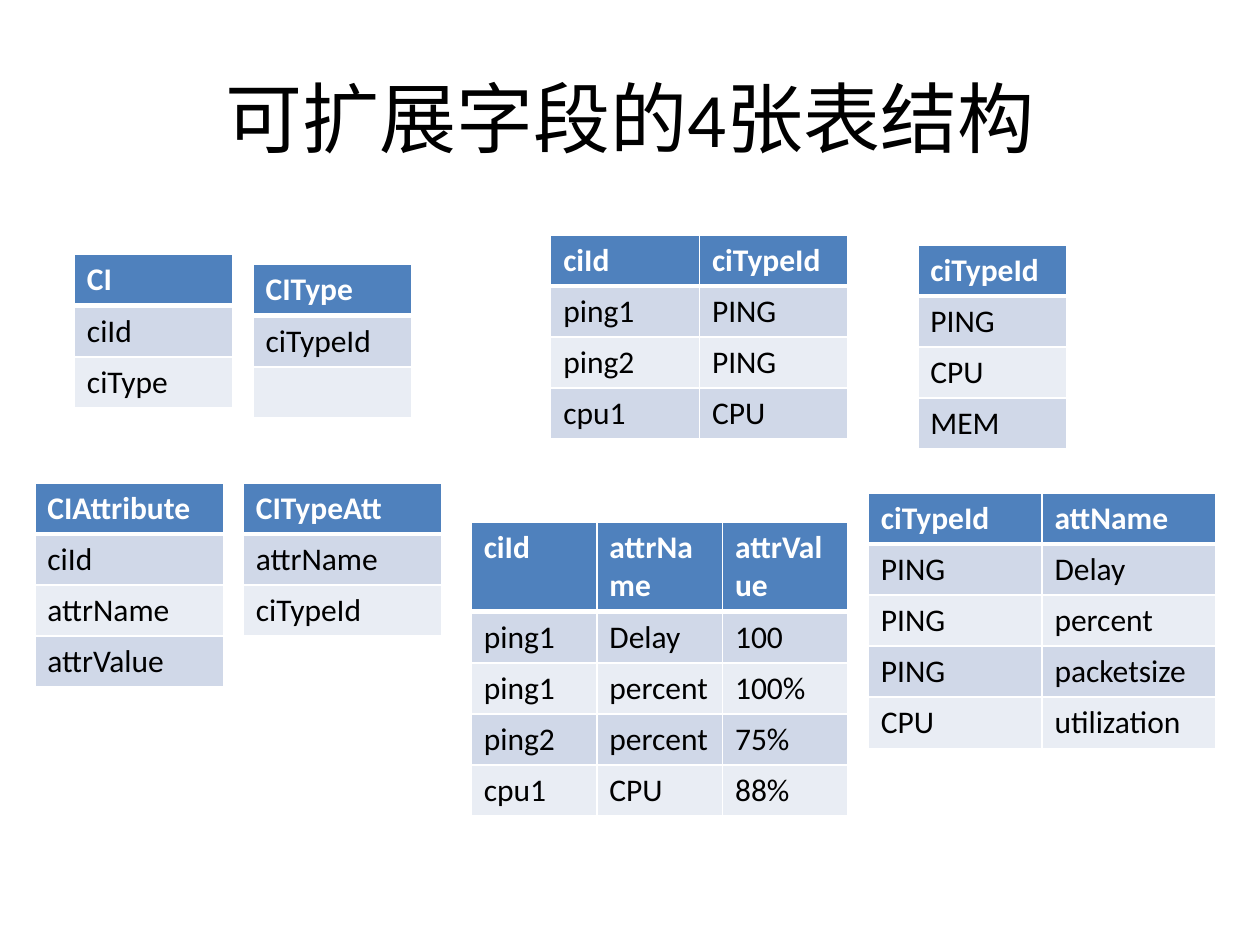
"""Build the slide of extensible-field table structures."""
from dataclasses import dataclass

from lxml import etree
from pptx import Presentation
from pptx.dml.color import RGBColor
from pptx.enum.text import MSO_ANCHOR, PP_ALIGN
from pptx.oxml.ns import qn
from pptx.util import Pt

LEFT, CENTER = PP_ALIGN.LEFT, PP_ALIGN.CENTER
MIDDLE = MSO_ANCHOR.MIDDLE
FONT = "Calibri"
ROW_H = 29.2
COLORS = {
    "text": "000000",
    "white": "FFFFFF",
    "header": "4F81BD",
    "odd": "D0D8E8",
    "even": "E9EDF4",
}


@dataclass
class TableSpec:
    left: float
    top: float
    col_w: float
    rows: list[list[str]]


TABLES = [
    TableSpec(42.5, 145.5, 90.7, [["CI"], ["ciId"], ["ciType"]]),
    TableSpec(144.6, 151.2, 90.7, [["CIType"], ["ciTypeId"], [""]]),
    TableSpec(19.9, 275.9, 107.7,
              [["CIAttribute"], ["ciId"], ["attrName"], ["attrValue"]]),
    TableSpec(139, 275.9, 113.4, [["CITypeAtt"], ["attrName"], ["ciTypeId"]]),
    TableSpec(314.7, 134.2, 85, [
        ["ciId", "ciTypeId"],
        ["ping1", "PING"],
        ["ping2", "PING"],
        ["cpu1", "CPU"],
    ]),
    TableSpec(524.5, 139.9, 85, [["ciTypeId"], ["PING"], ["CPU"], ["MEM"]]),
    TableSpec(496.2, 281.6, 99.2, [
        ["ciTypeId", "attName"],
        ["PING", "Delay"],
        ["PING", "percent"],
        ["PING", "packetsize"],
        ["CPU", "utilization"],
    ]),
    TableSpec(269.3, 298.4, 71.8, [
        ["ciId", "attrName", "attrValue"],
        ["ping1", "Delay", "100"],
        ["ping1", "percent", "100%"],
        ["ping2", "percent", "75%"],
        ["cpu1", "CPU", "88%"],
    ]),
]


def put_text(tf, text: str, *, size: float = 18, color: str = "text",
             bold: bool = False, align=LEFT) -> None:
    p = tf.paragraphs[0]
    p.alignment = align
    r = p.add_run()
    r.text = text
    r.font.name = FONT
    r.font.size = Pt(size)
    r.font.bold = bold
    r.font.color.rgb = RGBColor.from_string(COLORS[color])


def set_borders(cell, top: float, bottom: float) -> None:
    tc_pr = cell._tc.get_or_add_tcPr()
    for side, width in (("L", 1), ("R", 1), ("T", top), ("B", bottom)):
        ln = etree.SubElement(tc_pr, qn(f"a:ln{side}"), w=str(Pt(width)))
        fill = etree.SubElement(ln, qn("a:solidFill"))
        etree.SubElement(fill, qn("a:srgbClr"), val=COLORS["white"])


def draw_table(s, spec: TableSpec) -> None:
    n_rows, n_cols = len(spec.rows), len(spec.rows[0])
    frame = s.shapes.add_table(n_rows, n_cols, Pt(spec.left), Pt(spec.top),
                               Pt(spec.col_w * n_cols), Pt(ROW_H * n_rows))
    table = frame.table
    for col in table.columns:
        col.width = Pt(spec.col_w)
    for i, values in enumerate(spec.rows):
        table.rows[i].height = Pt(ROW_H)
        header = i == 0
        shade = "header" if header else "odd" if i % 2 else "even"
        for j, value in enumerate(values):
            cell = table.cell(i, j)
            set_borders(cell, 3 if i == 1 else 1, 3 if header else 1)
            cell.fill.solid()
            cell.fill.fore_color.rgb = RGBColor.from_string(COLORS[shade])
            if value:
                put_text(cell.text_frame, value, bold=header,
                         color="white" if header else "text")


def main() -> None:
    prs = Presentation()
    prs.slide_width, prs.slide_height = Pt(720), Pt(540)
    s = prs.slides.add_slide(prs.slide_layouts[5])
    title = s.shapes.title
    title.left, title.top = Pt(36), Pt(21.6)
    title.width, title.height = Pt(648), Pt(90)
    title.text_frame.vertical_anchor = MIDDLE
    put_text(title.text_frame, "可扩展字段的4张表结构", size=44, align=CENTER)
    for spec in TABLES:
        draw_table(s, spec)
    prs.save("out.pptx")


main()
